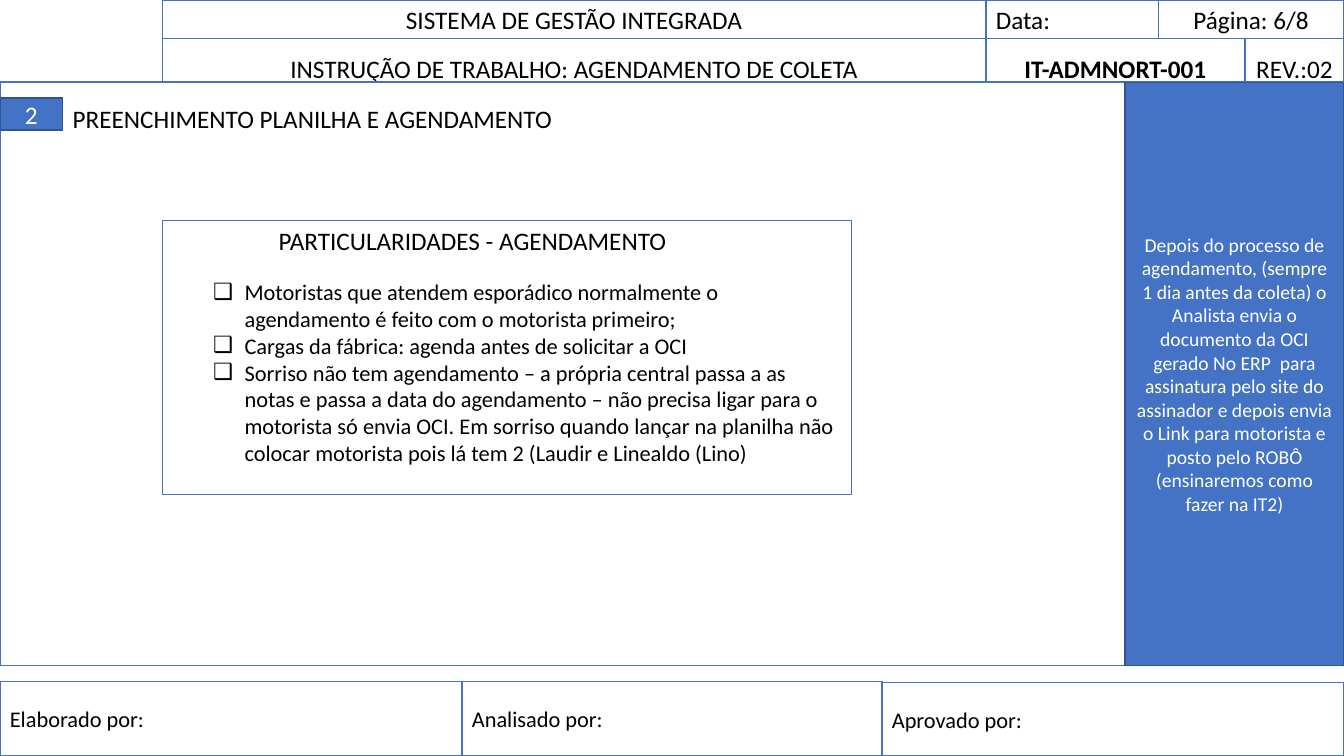
from lxml.etree import SubElement
from pptx import Presentation
from pptx.dml.color import RGBColor
from pptx.enum.shapes import MSO_SHAPE
from pptx.enum.text import MSO_ANCHOR, MSO_AUTO_SIZE, PP_ALIGN
from pptx.oxml.ns import qn
from pptx.util import Pt

COLOURS = {"paper": "FFFFFF", "ink": "000000", "blue": "4472C4", "edge": "325491"}
CENTER, LEFT = PP_ALIGN.CENTER, PP_ALIGN.LEFT

PAGE_WIDTH, PAGE_HEIGHT = 960, 540
HEADER_LEFT, HEADER_SPLIT, PANEL_LEFT = 116, 704.2, 803.7
ROW_BREAK, ROW_END = 27.4, 69.9

HEADER_ROWS = [
    (0, ROW_BREAK, [
        (HEADER_LEFT, HEADER_SPLIT, "SISTEMA DE GESTÃO INTEGRADA", CENTER, False),
        (HEADER_SPLIT, 827.3, "Data:", LEFT, False),
        (827.3, PAGE_WIDTH, "Página: 6/8", CENTER, False),
    ]),
    (ROW_BREAK, ROW_END, [
        (HEADER_LEFT, HEADER_SPLIT, "INSTRUÇÃO DE TRABALHO: AGENDAMENTO DE COLETA", CENTER, False),
        (HEADER_SPLIT, 889.2, "IT-ADMNORT-001", CENTER, True),
        (889.2, PAGE_WIDTH, "REV.:02", CENTER, False),
    ]),
]
SIGNATURES = [
    (0, 330, 486.7, "Elaborado por:"),
    (330, 630, 486.7, "Analisado por:"),
    (630, PAGE_WIDTH, 487.4, "Aprovado por:"),
]
PANEL_TEXT = (
    "Depois do processo de agendamento, (sempre 1 dia antes da coleta) o Analista "
    "envia o documento da OCI gerado No ERP  para assinatura pelo site do assinador "
    "e depois envia o Link para motorista e posto pelo ROBÔ (ensinaremos como fazer na IT2)"
)
PARTICULARS = [
    "Motoristas que atendem esporádico normalmente o agendamento é feito com o motorista primeiro;",
    "Cargas da fábrica: agenda antes de solicitar a OCI",
    "Sorriso não tem agendamento – a própria central passa a as notas e passa a data do "
    "agendamento – não precisa ligar para o motorista só envia OCI. Em sorriso quando lançar "
    "na planilha não colocar motorista pois lá tem 2 (Laudir e Linealdo (Lino)",
]


def colour(name):
    return RGBColor.from_string(COLOURS[name])


def apply_format(target, values):
    for name, value in values.items():
        setattr(target, name, value)


def add_bullet(para):
    properties = para._p.get_or_add_pPr()
    properties.set("marL", str(Pt(22.5)))
    properties.set("indent", str(-Pt(22.5)))
    SubElement(properties, qn("a:buChar")).set("char", "❑")


def write_text(shape, lines, size, ink="ink", align=LEFT, bold=False,
               anchor=MSO_ANCHOR.TOP, auto_size=MSO_AUTO_SIZE.NONE, bulleted=False):
    frame = shape.text_frame
    apply_format(frame, {"word_wrap": True, "vertical_anchor": anchor, "auto_size": auto_size})
    for index, line in enumerate(lines):
        para = frame.add_paragraph() if index else frame.paragraphs[0]
        if bulleted:
            add_bullet(para)
        apply_format(para, {"alignment": align, "space_before": Pt(0)})
        span = para.add_run()
        span.text = line
        apply_format(span.font, {"name": "Calibri", "size": Pt(size), "bold": bold})
        span.font.color.rgb = colour(ink)


def add_box(page, left, top, right, bottom, fill="paper", line="blue"):
    box = page.shapes.add_shape(MSO_SHAPE.RECTANGLE, Pt(left), Pt(top),
                                Pt(right - left), Pt(bottom - top))
    box.shadow.inherit = False
    box.fill.solid()
    box.fill.fore_color.rgb = colour(fill)
    box.line.color.rgb = colour(line)
    box.line.width = Pt(1)
    return box


def add_label_box(page, edges, text, size, align=LEFT, bold=False):
    write_text(add_box(page, *edges), [text], size, align=align, bold=bold,
               anchor=MSO_ANCHOR.MIDDLE)


def add_blue_box(page, edges, text, size):
    write_text(add_box(page, *edges, fill="blue", line="edge"), [text], size,
               ink="paper", align=CENTER, anchor=MSO_ANCHOR.MIDDLE)


def place_on_top(page, shape, left, top, width, height):
    apply_format(shape, {"left": Pt(left), "top": Pt(top),
                         "width": Pt(width), "height": Pt(height)})
    page.shapes._spTree.append(shape._element)


def main():
    deck = Presentation()
    apply_format(deck, {"slide_width": Pt(PAGE_WIDTH), "slide_height": Pt(PAGE_HEIGHT)})
    page = deck.slides.add_slide(deck.slide_layouts[1])
    title, body = page.placeholders

    for top, bottom, cells in HEADER_ROWS:
        for left, right, text, align, bold in cells:
            add_label_box(page, (left, top, right, bottom), text, 18, align, bold)
    for left, right, top, text in SIGNATURES:
        add_label_box(page, (left, top, right, PAGE_HEIGHT), text, 16)

    add_box(page, 0, 58.5, PAGE_WIDTH, 475.2)
    add_box(page, HEADER_LEFT, 157.5, 608.4, 353.3)
    add_blue_box(page, (0, 70, 44.7, 93), "2", 18)
    add_blue_box(page, (PANEL_LEFT, 59, PAGE_WIDTH, 475.2), PANEL_TEXT, 14)

    grow = MSO_AUTO_SIZE.SHAPE_TO_FIT_TEXT
    heading = page.shapes.add_textbox(Pt(192), Pt(157.7), Pt(365), Pt(29))
    write_text(heading, ["PARTICULARIDADES - AGENDAMENTO"], 18, auto_size=grow)
    place_on_top(page, body, 145, 195, 459.4, 143.3)
    write_text(body, PARTICULARS, 16, auto_size=grow, bulleted=True)
    place_on_top(page, title, 44.7, 70, 365, 29)
    write_text(title, ["PREENCHIMENTO PLANILHA E AGENDAMENTO"], 18, auto_size=grow)

    deck.save("out.pptx")


if __name__ == "__main__":
    main()
